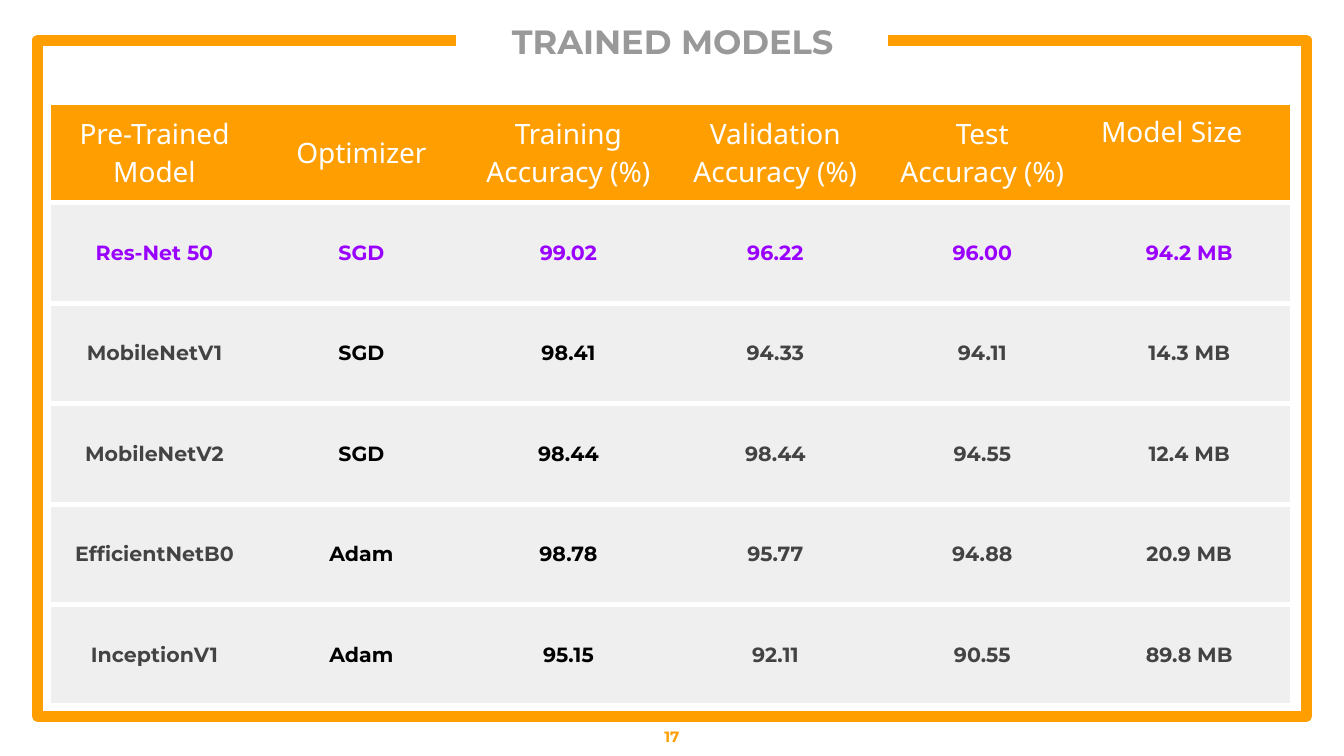
from lxml import etree
from pptx import Presentation
from pptx.dml.color import RGBColor
from pptx.enum.text import MSO_ANCHOR, PP_ALIGN
from pptx.oxml.ns import qn
from pptx.util import Inches, Pt

CENTER = PP_ALIGN.CENTER
MIDDLE, TOP = MSO_ANCHOR.MIDDLE, MSO_ANCHOR.TOP

ORANGE = RGBColor(0xFF, 0x9E, 0x00)
WHITE = RGBColor(0xFF, 0xFF, 0xFF)
BLACK = RGBColor(0x00, 0x00, 0x00)
TITLE_GRAY = RGBColor(0x99, 0x99, 0x99)
ROW_GRAY = RGBColor(0xEF, 0xEF, 0xEF)
DARK_GRAY = RGBColor(0x43, 0x43, 0x43)
PURPLE = RGBColor(0x99, 0x00, 0xFF)

BODY_FONT, HEADER_FONT = "Montserrat", "Noto Sans"
NO_TABLE_STYLE = "{2D5ABB26-0587-4C30-8999-92F81FD0307C}"

HEADERS = ["Pre-Trained Model", "Optimizer", "Training Accuracy (%)",
           "Validation Accuracy (%)", "Test\nAccuracy (%)", "Model Size"]
MODELS = [
    ["Res-Net 50", "SGD", "99.02", "96.22", "96.00", "94.2 MB"],
    ["MobileNetV1", "SGD", "98.41", "94.33", "94.11", "14.3 MB"],
    ["MobileNetV2", "SGD", "98.44", "98.44", "94.55", "12.4 MB"],
    ["EfficientNetB0", "Adam", "98.78", "95.77", "94.88", "20.9 MB"],
    ["InceptionV1", "Adam", "95.15", "92.11", "90.55", "89.8 MB"],
]
BLACK_COLUMNS = (1, 2)
SIZE_COLUMN = len(HEADERS) - 1


def write_text(text_frame, text, font, size, color, bold):
    text_frame.text = text
    text_frame.word_wrap = True
    for paragraph in text_frame.paragraphs:
        paragraph.alignment = CENTER
        for run in paragraph.runs:
            run.font.name = font
            run.font.size = Pt(size)
            run.font.bold = bold
            run.font.color.rgb = color


def add_label(slide, left, top, width, height, text, size, color, margin):
    box = slide.shapes.add_textbox(
        Inches(left), Inches(top), Inches(width), Inches(height))
    frame = box.text_frame
    write_text(frame, text, BODY_FONT, size, color, True)
    frame.vertical_anchor = MIDDLE
    frame.margin_left = frame.margin_right = Inches(margin)
    frame.margin_top = frame.margin_bottom = Inches(margin)


def add_frame(slide, left, top, width, height, gap):
    """Outline a box whose top edge is open in the middle for the title."""
    right, bottom = left + width, top + height
    side = (width - gap) / 2
    corners = [(left + side, top), (left, top), (left, bottom),
               (right, bottom), (right, top), (right - side, top)]
    start, *others = [(Inches(x), Inches(y)) for x, y in corners]
    builder = slide.shapes.build_freeform(*start)
    builder.add_line_segments(others, close=False)
    outline = builder.convert_to_shape()
    outline.shadow.inherit = False
    outline.fill.background()
    outline.line.color.rgb = ORANGE
    outline.line.width = Pt(6)


def add_borders(cell, edges):
    properties = cell._tc.get_or_add_tcPr()
    for position, edge in enumerate(edges):
        border = etree.Element(qn(f"a:ln{edge}"), w=str(Pt(3)))
        fill = etree.SubElement(border, qn("a:solidFill"))
        etree.SubElement(fill, qn("a:srgbClr"), val=str(WHITE))
        properties.insert(position, border)


def model_color(row, column):
    if row == 1:
        return PURPLE
    return BLACK if column in BLACK_COLUMNS else DARK_GRAY


def add_model_table(slide, left, top, width, height):
    rows = [HEADERS] + MODELS
    table = slide.shapes.add_table(
        len(rows), len(HEADERS), Inches(left), Inches(top),
        Inches(width), Inches(height)).table
    table.horz_banding = False
    table._tbl.tblPr.find(qn("a:tableStyleId")).text = NO_TABLE_STYLE
    for row, texts in enumerate(rows):
        for column, text in enumerate(texts):
            cell = table.cell(row, column)
            cell.vertical_anchor = MIDDLE
            cell.margin_left = cell.margin_right = Inches(0.1)
            cell.margin_top = cell.margin_bottom = Inches(0.07)
            cell.fill.solid()
            cell.fill.fore_color.rgb = ROW_GRAY if row else ORANGE
            if row:
                write_text(cell.text_frame, text, BODY_FONT, 11,
                           model_color(row, column), True)
            else:
                write_text(cell.text_frame, text, HEADER_FONT, 15, WHITE, False)
            add_borders(cell, "RTB" if column == SIZE_COLUMN else "TB")

    size_header = table.cell(0, SIZE_COLUMN)
    size_header.vertical_anchor = TOP
    size_header.margin_top = Inches(0.08)
    size_header.margin_right = Inches(0.36)


def main():
    presentation = Presentation()
    presentation.slide_width = Inches(10)
    presentation.slide_height = presentation.slide_width * 9 // 16
    slide = presentation.slides.add_slide(presentation.slide_layouts[6])
    add_frame(slide, 0.28, 0.3, 9.44, 5.03, gap=3.21)
    add_label(slide, 3.55, 0.11, 2.91, 0.39, "TRAINED MODELS", 18, TITLE_GRAY, 0)
    add_label(slide, 0, 5.33, 10, 0.3, "17", 8, ORANGE, 0.1)
    add_model_table(slide, 0.38, 0.76, 9.24, 4.49)
    presentation.save("out.pptx")


if __name__ == "__main__":
    main()
